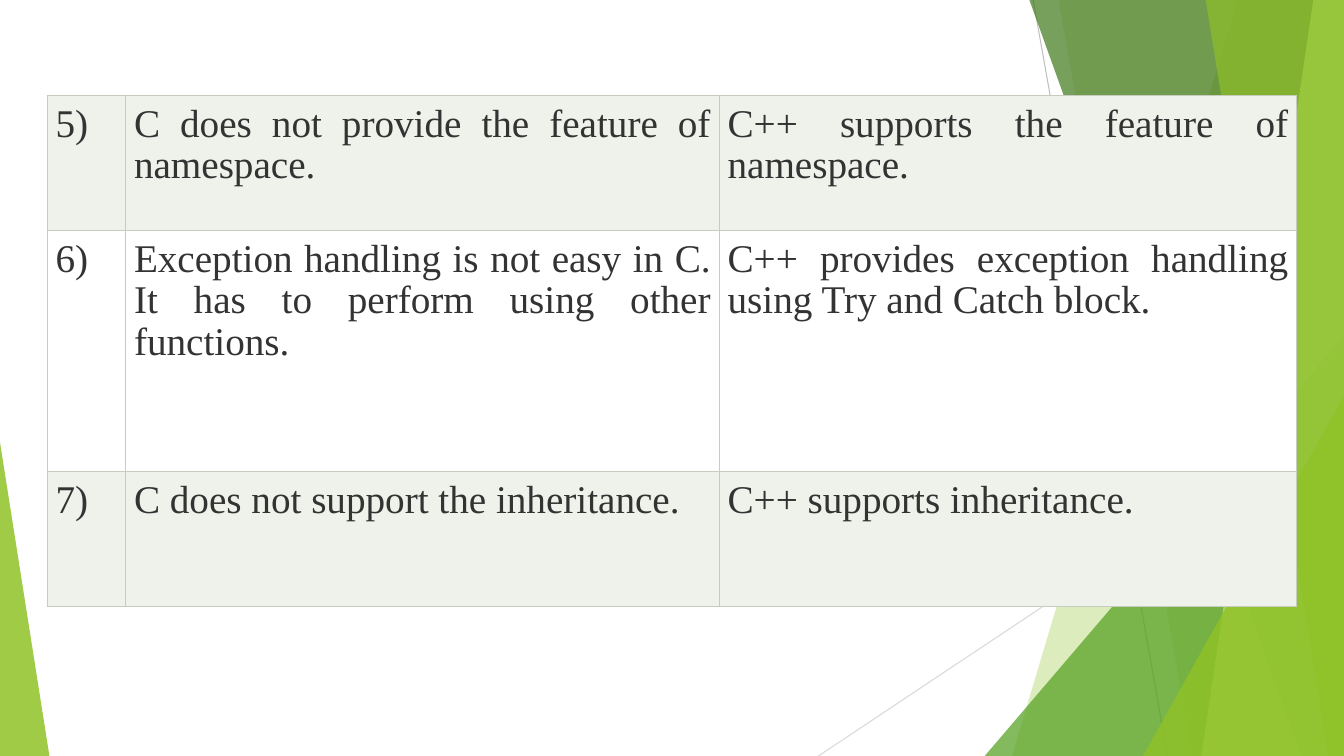
import pptx
import pptx.dml.color
import pptx.enum.shapes
import pptx.enum.text
import pptx.oxml.ns
import pptx.oxml.xmlchemy
import pptx.util

Pt = pptx.util.Pt
RGBColor = pptx.dml.color.RGBColor
SHAPE = pptx.enum.shapes.MSO_SHAPE
OxmlElement = pptx.oxml.xmlchemy.OxmlElement
qn = pptx.oxml.ns.qn

ROWS = [
    ("5)", "C does not provide the feature of namespace.",
     "C++ supports the feature of namespace."),
    ("6)", "Exception handling is not easy in C. It has to perform using other functions.",
     "C++ provides exception handling using Try and Catch block."),
    ("7)", "C does not support the inheritance.", "C++ supports inheritance."),
]

WIDTH, HEIGHT = 960, 540
PANEL_TOP = -0.6
TABLE_LEFT, TABLE_TOP = 33.8, 68.2
COL_WIDTHS = [56, 424, 412.5]
ROW_HEIGHTS = [96.5, 172, 96.5]
CELL_MARGIN = 6

LIME = RGBColor(0x90, 0xC2, 0x26)
GREEN = RGBColor(0x54, 0xA0, 0x21)
DARK_GREEN = RGBColor(0x3F, 0x78, 0x19)
PALE_LIME = RGBColor(0xC0, 0xE4, 0x74)
GREY = RGBColor(0xBF, 0xBF, 0xBF)
LIGHT_GREY = RGBColor(0xD9, 0xD9, 0xD9)
INK = RGBColor(0x33, 0x33, 0x33)
WHITE = RGBColor(0xFF, 0xFF, 0xFF)
BAND = RGBColor(0xEF, 0xF1, 0xEB)
BORDER = RGBColor(0xC7, 0xCC, 0xBE)

LINES = [
    (738, 0, 834, HEIGHT, GREY),
    (WIDTH, 290, 584.6, HEIGHT, LIGHT_GREY),
]
FACETS = [
    ("panel", 884.2, 722.9, LIME, 30),
    ("panel", 756, 851.8, LIME, 20),
    ("triangle", 703.4, 239.8, 256.6, 1, GREEN, 72),
    ("panel", 735.1, 929.5, DARK_GREEN, 70),
    ("panel", 938.2, 858.2, PALE_LIME, 70),
    ("panel", 861.1, 949, LIME, 65),
    ("triangle", 816.5, 283, 143.5, 1, LIME, 80),
    ("triangle", 0, 316, 35.3, 0, LIME, 85),
]


def add_line(slide, x1, y1, x2, y2, color):
    cx = slide.shapes.add_connector(
        pptx.enum.shapes.MSO_CONNECTOR.STRAIGHT, Pt(x1), Pt(y1), Pt(x2), Pt(y2))
    cx.line.color.rgb = color
    cx.line.width = Pt(0.75)
    cx._element.spPr.append(OxmlElement("a:effectLst"))


def add_panel(slide, top_x, bottom_x):
    fb = slide.shapes.build_freeform(Pt(top_x), Pt(PANEL_TOP), scale=1.0)
    corners = [(WIDTH, PANEL_TOP), (WIDTH, HEIGHT), (bottom_x, HEIGHT)]
    fb.add_line_segments([(Pt(x), Pt(y)) for x, y in corners], close=True)
    return fb.convert_to_shape()


def add_triangle(slide, left, top, width, apex):
    sp = slide.shapes.add_shape(
        SHAPE.ISOSCELES_TRIANGLE, Pt(left), Pt(top), Pt(width), Pt(HEIGHT - top))
    sp.adjustments[0] = apex
    return sp


def paint(sp, color, opacity):
    sp.shadow.inherit = False
    sp.line.fill.background()
    sp.fill.solid()
    sp.fill.fore_color.rgb = color
    clr = sp._element.spPr.find(qn("a:solidFill"))[0]
    alpha = OxmlElement("a:alpha")
    alpha.set("val", str(opacity * 1000))
    clr.append(alpha)


def add_borders(cell):
    tcPr = cell._tc.get_or_add_tcPr()
    for i, side in enumerate(("a:lnL", "a:lnR", "a:lnT", "a:lnB")):
        ln = OxmlElement(side)
        ln.set("w", str(int(Pt(0.75))))
        fill = OxmlElement("a:solidFill")
        clr = OxmlElement("a:srgbClr")
        clr.set("val", str(BORDER))
        fill.append(clr)
        ln.append(fill)
        tcPr.insert(i, ln)


def fill_cell(cell, text, color):
    cell.fill.solid()
    cell.fill.fore_color.rgb = color
    cell.margin_left = cell.margin_right = Pt(CELL_MARGIN)
    cell.margin_top = cell.margin_bottom = Pt(CELL_MARGIN)
    add_borders(cell)
    p = cell.text_frame.paragraphs[0]
    p.alignment = pptx.enum.text.PP_ALIGN.JUSTIFY
    p.line_spacing = 0.96
    r = p.add_run()
    r.text = text
    r.font.name = "Times New Roman"
    r.font.size = Pt(28)
    r.font.color.rgb = INK


def add_comparison(slide):
    table = slide.shapes.add_table(
        len(ROWS), len(COL_WIDTHS), Pt(TABLE_LEFT), Pt(TABLE_TOP),
        Pt(sum(COL_WIDTHS)), Pt(sum(ROW_HEIGHTS))).table
    table.first_row = False
    table.horz_banding = False
    for col, width in zip(table.columns, COL_WIDTHS):
        col.width = Pt(width)
    for i, (row, height) in enumerate(zip(table.rows, ROW_HEIGHTS)):
        row.height = Pt(height)
        for cell, text in zip(row.cells, ROWS[i]):
            fill_cell(cell, text, WHITE if i % 2 else BAND)


def main():
    prs = pptx.Presentation()
    prs.slide_width, prs.slide_height = Pt(WIDTH), Pt(HEIGHT)
    slide = prs.slides.add_slide(prs.slide_layouts[6])
    for line in LINES:
        add_line(slide, *line)
    builders = {"panel": add_panel, "triangle": add_triangle}
    for kind, *place, color, opacity in FACETS:
        paint(builders[kind](slide, *place), color, opacity)
    add_comparison(slide)
    prs.save("out.pptx")


if __name__ == "__main__":
    main()
